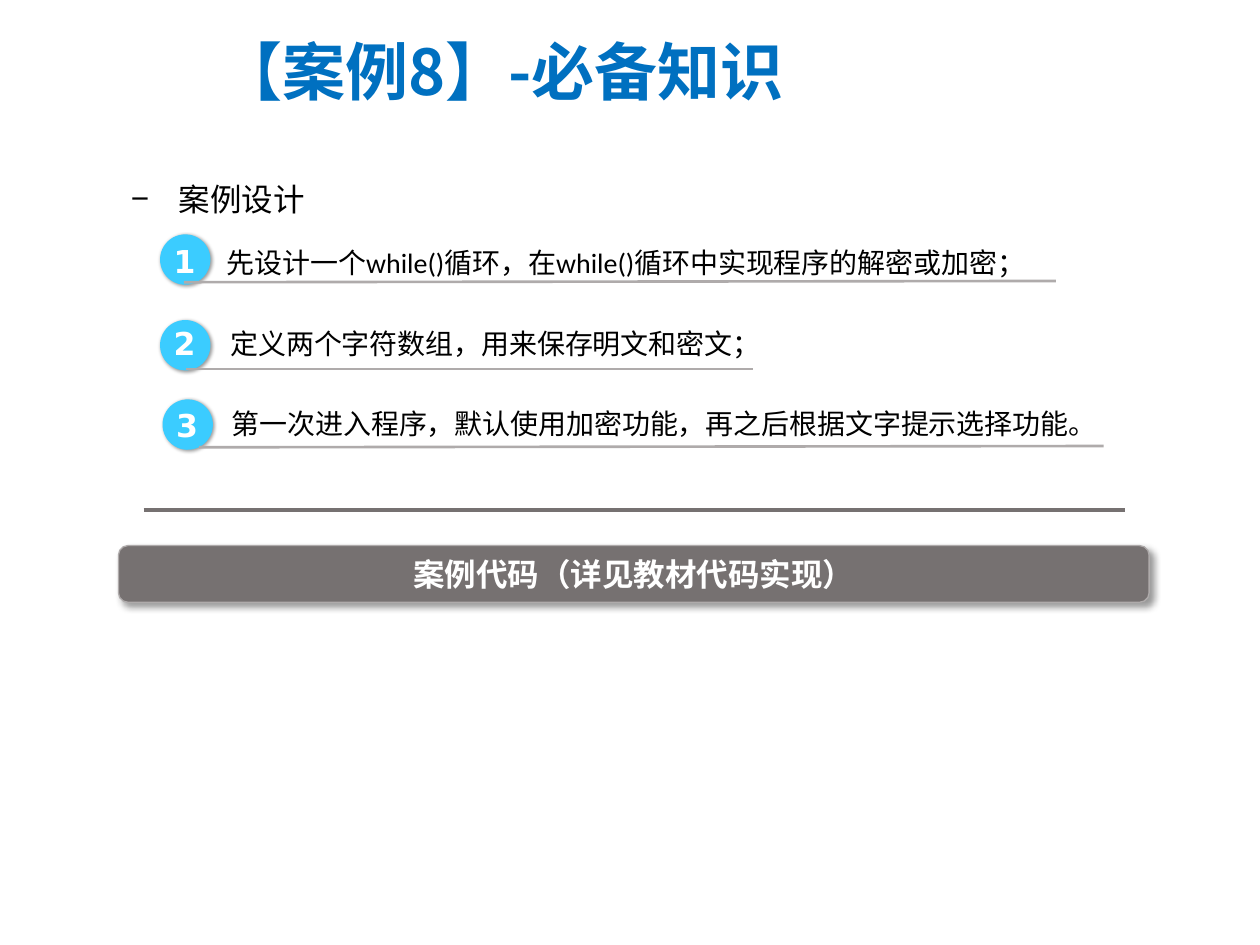
from typing import NamedTuple

from lxml.etree import SubElement
from pptx import Presentation
from pptx.dml.color import RGBColor
from pptx.enum.shapes import MSO_CONNECTOR, MSO_SHAPE
from pptx.enum.text import MSO_ANCHOR, PP_ALIGN
from pptx.oxml.ns import qn
from pptx.util import Inches, Pt

SLIDE_WIDTH, SLIDE_HEIGHT = Inches(10), Inches(7.5)
COLUMN, ROW = SLIDE_WIDTH / 100, SLIDE_HEIGHT / 75

BLUE = RGBColor(0x00, 0x70, 0xC0)
SKY = RGBColor(0x3B, 0xCC, 0xFF)
DARK_GRAY = RGBColor(0x76, 0x71, 0x71)
LIGHT_GRAY = RGBColor(0xAF, 0xAB, 0xAB)
BLACK = RGBColor(0x00, 0x00, 0x00)
WHITE = RGBColor(0xFF, 0xFF, 0xFF)
CJK_FONT = "Noto Sans CJK SC"


class Box(NamedTuple):
    left: float
    top: float
    width: float
    height: float

    def emu(self):
        return (round(self.left * COLUMN), round(self.top * ROW),
                round(self.width * COLUMN), round(self.height * ROW))


class Step(NamedTuple):
    text: str
    box: Box
    numeral_shift: float
    text_left: float
    text_rise: float
    rule_left: float
    rule_drop: float
    rule_slope: float


STEPS = [
    Step("先设计一个while()循环，在while()循环中实现程序的解密或加密；",
         Box(12.7, 18.6, 71.1, 4), 0.1, 4.3, 0.4, 1.9, 3.8, 0.1),
    Step("定义两个字符数组，用来保存明文和密文；",
         Box(12.7, 25.4, 47.1, 4), -0.2, 4.6, 0.8, 2.1, 3.9, 0),
    Step("第一次进入程序，默认使用加密功能，再之后根据文字提示选择功能。",
         Box(12.9, 31.7, 74.7, 4), 0, 4.5, 0.7, 2.9, 3.8, 0.1),
]


def write(shape, text, *, size, color, font="Calibri", bold=False, wrap=True,
          align=PP_ALIGN.LEFT, anchor=MSO_ANCHOR.TOP, spacing=1.0, after=0,
          indent=0, bullet=None):
    frame = shape.text_frame
    frame.word_wrap = wrap
    frame.vertical_anchor = anchor
    paragraph = frame.paragraphs[0]
    paragraph.alignment = align
    paragraph.line_spacing = spacing
    paragraph.space_after = Pt(after)
    properties = paragraph._p.get_or_add_pPr()
    if indent:
        hanging = round(indent * COLUMN)
        properties.set("marL", str(hanging))
        properties.set("indent", str(-hanging))
    if bullet:
        SubElement(properties, qn("a:buFont"), typeface="Arial")
        SubElement(properties, qn("a:buChar"), char=bullet)
    run = paragraph.add_run()
    run.text = text
    run.font.name = font
    run.font.size = Pt(size)
    run.font.bold = bold
    run.font.color.rgb = color
    SubElement(run._r.get_or_add_rPr(), qn("a:ea"), typeface=CJK_FONT)


def add_text(slide, box, text, **style):
    write(slide.shapes.add_textbox(*box.emu()), text, **style)


def add_rule(slide, start, end, color, weight):
    left, top, _, _ = Box(*start, 0, 0).emu()
    right, bottom, _, _ = Box(*end, 0, 0).emu()
    rule = slide.shapes.add_connector(MSO_CONNECTOR.STRAIGHT, left, top, right, bottom)
    rule.line.color.rgb = color
    rule.line.width = Pt(weight)
    SubElement(rule._element.spPr, qn("a:effectLst"))


def add_shadowed(slide, preset, box, fill, *, blur, distance, outline=None):
    shape = slide.shapes.add_shape(preset, *box.emu())
    shape.fill.solid()
    shape.fill.fore_color.rgb = fill
    if outline is None:
        shape.line.fill.background()
    else:
        shape.line.color.rgb = outline
        shape.line.width = Pt(0.75)
    shape.shadow.inherit = False
    effects = shape._element.spPr.find(qn("a:effectLst"))
    shadow = SubElement(effects, qn("a:outerShdw"), blurRad=str(Pt(blur)),
                        dist=str(Pt(distance)), dir="2700000", algn="tl",
                        rotWithShape="0")
    tint = SubElement(shadow, qn("a:srgbClr"), val="000000")
    SubElement(tint, qn("a:alpha"), val="40000")
    return shape


def draw_title(slide, box):
    add_text(slide, box, "【案例8】-必备知识", size=36, color=BLUE, font=CJK_FONT,
             bold=True, anchor=MSO_ANCHOR.MIDDLE, indent=6.2)


def draw_heading(slide, box):
    add_text(slide, box, "案例设计", size=18, color=BLACK, font="Arial",
             spacing=1.5, indent=3.8, bullet="−")


def draw_step(slide, number, step):
    left, top, width, side = step.box
    badge = add_shadowed(slide, MSO_SHAPE.OVAL, Box(left, top, side, side), SKY,
                         blur=2, distance=1)
    badge.rotation = 9.6
    add_text(slide, Box(left + 0.1, top + step.numeral_shift, side - 0.2, side),
             str(number), size=18, color=WHITE, font="DejaVu Sans", bold=True,
             wrap=False)
    rule_top = top + step.rule_drop
    add_rule(slide, (left + step.rule_left, rule_top),
             (left + width, rule_top - step.rule_slope), LIGHT_GRAY, 1.5)
    add_text(slide, Box(left + step.text_left, top - step.text_rise,
                        width - step.text_left, side + 0.5),
             step.text, size=16, color=BLACK, wrap=False, spacing=1.3, after=3)


def draw_code_bar(slide, box):
    rule_top = box.top - 2.8
    add_rule(slide, (box.left + 2, rule_top),
             (box.left + box.width - 1.9, rule_top), DARK_GRAY, 2.25)
    bar = add_shadowed(slide, MSO_SHAPE.ROUNDED_RECTANGLE, box, DARK_GRAY,
                       blur=4, distance=3, outline=LIGHT_GRAY)
    write(bar, "案例代码（详见教材代码实现）", size=18, color=WHITE, bold=True,
          align=PP_ALIGN.CENTER, anchor=MSO_ANCHOR.MIDDLE)


def main():
    deck = Presentation()
    deck.slide_width, deck.slide_height = SLIDE_WIDTH, SLIDE_HEIGHT
    slide = deck.slides.add_slide(deck.slide_layouts[6])
    draw_title(slide, Box(16.4, 1.4, 56.3, 8.4))
    draw_heading(slide, Box(9.4, 12.3, 85.1, 4.8))
    for number, step in enumerate(STEPS, start=1):
        draw_step(slide, number, step)
    draw_code_bar(slide, Box(9.4, 43.3, 81.8, 4.5))
    deck.save("out.pptx")


if __name__ == "__main__":
    main()
